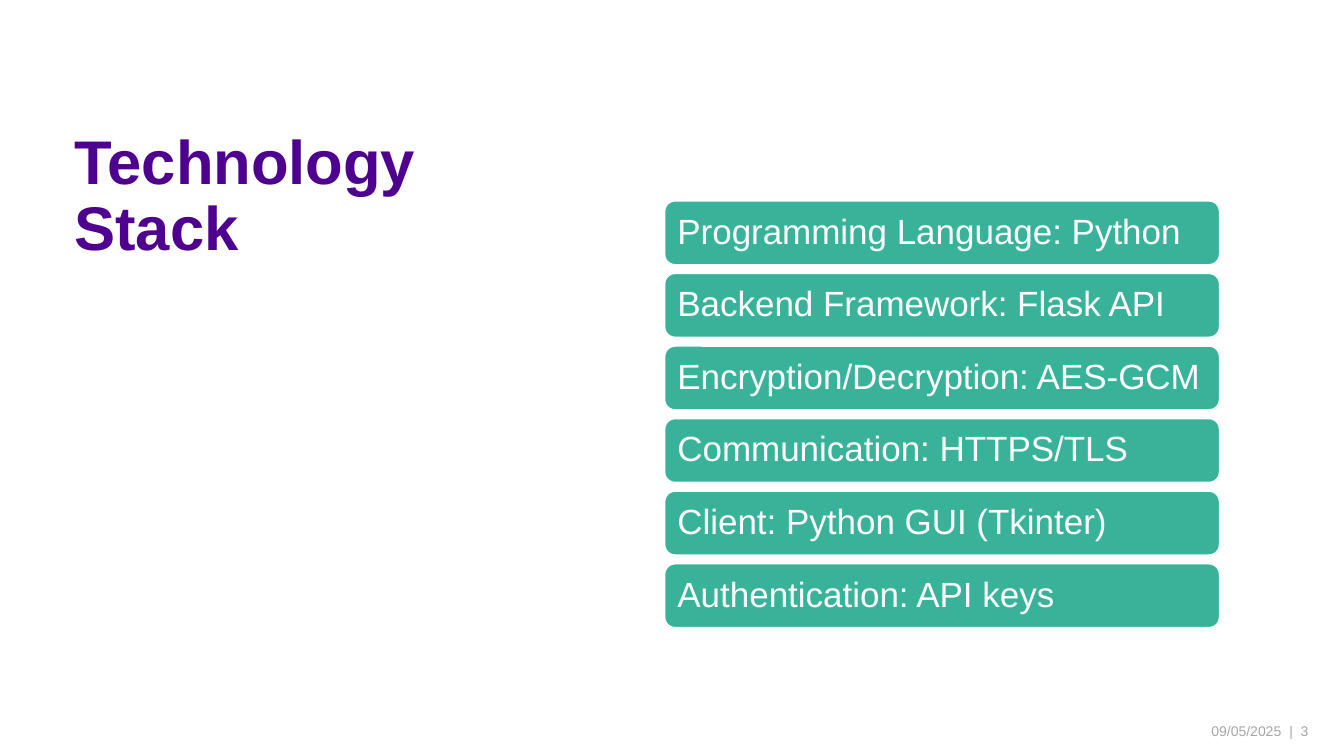
from dataclasses import dataclass

from pptx import Presentation
from pptx.dml.color import RGBColor
from pptx.enum.shapes import MSO_SHAPE
from pptx.enum.text import MSO_ANCHOR, PP_ALIGN
from pptx.util import Inches, Length, Pt

SLIDE_WIDTH, SLIDE_HEIGHT = Inches(13.333), Inches(7.5)
FONT = "Arial"
COLOURS = {"title": "4E008E", "footer": "A6A6A6", "card": "38B399", "white": "FFFFFF"}

TECHNOLOGIES = (
    "Programming Language: Python",
    "Backend Framework: Flask API",
    "Encryption/Decryption: AES-GCM",
    "Communication: HTTPS/TLS",
    "Client: Python GUI (Tkinter)",
    "Authentication: API keys",
)


@dataclass(frozen=True)
class Area:
    """A rectangle in percent of the slide's width and height."""
    left: float
    top: float
    width: float
    height: float

    def lengths(self) -> tuple[Length, ...]:
        sides = (SLIDE_WIDTH, SLIDE_HEIGHT) * 2
        shares = (self.left, self.top, self.width, self.height)
        return tuple(Length(round(side * share / 100)) for side, share in zip(sides, shares))


TITLE = Area(4.8, 16.67, 39.83, 45.87)
DATE = Area(89.03, 94.67, 6.3, 3.73)
PAGE_NUMBER = Area(95.93, 94.67, 3.08, 3.73)
FIRST_CARD = Area(49.43, 26.53, 41.33, 8.53)
CARD_PITCH = 9.6


def colour(name: str) -> RGBColor:
    return RGBColor.from_string(COLOURS[name])


def write_text(box, text: str, *, size: float, ink: str, bold: bool = False,
               align=PP_ALIGN.LEFT, anchor=MSO_ANCHOR.TOP, line_spacing: float = 1.0,
               insets: tuple[float, float, float, float] = (0.1, 0.05, 0.1, 0.05)) -> None:
    """Write one paragraph; insets are left, top, right and bottom in inches."""
    frame = box.text_frame
    frame.word_wrap = True
    frame.vertical_anchor = anchor
    (frame.margin_left, frame.margin_top,
     frame.margin_right, frame.margin_bottom) = map(Inches, insets)
    para = frame.paragraphs[0]
    para.alignment = align
    para.line_spacing = line_spacing
    span = para.add_run()
    span.text = text
    span.font.name = FONT
    span.font.size = Pt(size)
    span.font.bold = bold
    span.font.color.rgb = colour(ink)


def add_text(page, area: Area, text: str, **text_format) -> None:
    write_text(page.shapes.add_textbox(*area.lengths()), text, **text_format)


def add_card(page, row: int, text: str) -> None:
    area = Area(FIRST_CARD.left, FIRST_CARD.top + row * CARD_PITCH,
                FIRST_CARD.width, FIRST_CARD.height)
    card = page.shapes.add_shape(MSO_SHAPE.ROUNDED_RECTANGLE, *area.lengths())
    card.shadow.inherit = False
    card.fill.solid()
    card.fill.fore_color.rgb = colour("card")
    card.line.color.rgb = colour("white")
    card.line.width = Pt(1.5)
    write_text(card, text, size=25, ink="white", anchor=MSO_ANCHOR.MIDDLE,
               line_spacing=0.9, insets=(0.1, 0.1, 0.1, 0.1))


def main() -> None:
    deck = Presentation()
    deck.slide_width, deck.slide_height = SLIDE_WIDTH, SLIDE_HEIGHT
    page = deck.slides.add_slide(deck.slide_layouts[6])

    # Title
    add_text(page, TITLE, "Technology Stack", size=44, ink="title", bold=True, line_spacing=0.9)

    # Footer
    add_text(page, DATE, "09/05/2025", size=10, ink="footer", align=PP_ALIGN.RIGHT,
             anchor=MSO_ANCHOR.BOTTOM, insets=(0, 0.05, 0, 0.05))
    add_text(page, PAGE_NUMBER, "|  3", size=10, ink="footer",
             anchor=MSO_ANCHOR.BOTTOM, insets=(0, 0.05, 0.1, 0.05))

    # Technology cards
    for row, technology in enumerate(TECHNOLOGIES):
        add_card(page, row, technology)

    deck.save("out.pptx")


if __name__ == "__main__":
    main()
